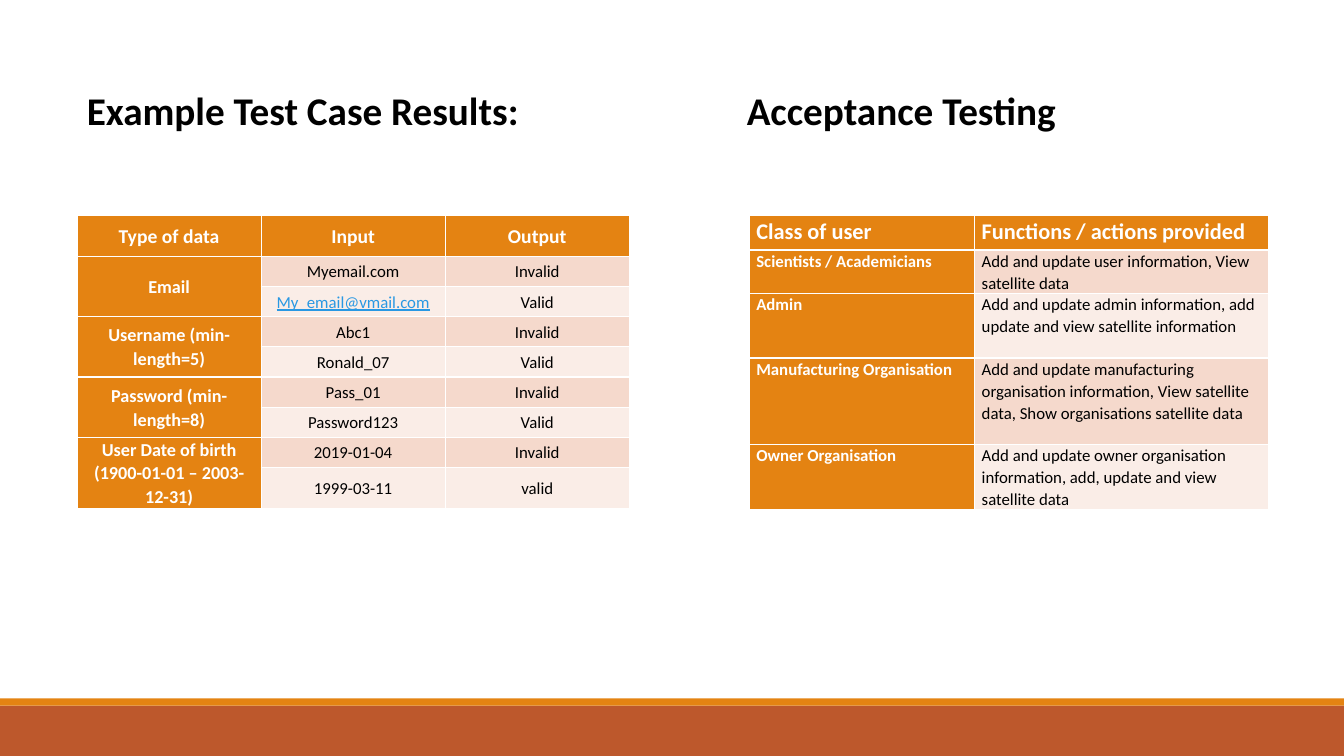
from pptx import Presentation
from pptx.dml.color import RGBColor
from pptx.enum.shapes import MSO_SHAPE as Shape
from pptx.enum.text import MSO_ANCHOR as Anchor, PP_ALIGN as Align
from pptx.util import Cm, Pt

WHITE = RGBColor(0xFF, 0xFF, 0xFF)
BLACK = RGBColor(0x00, 0x00, 0x00)
ORANGE = RGBColor(0xE4, 0x83, 0x12)
RUST = RGBColor(0xBD, 0x58, 0x2C)
LINK = RGBColor(0x29, 0x98, 0xE3)
BANDS = [RGBColor(0xFA, 0xED, 0xE7), RGBColor(0xF5, 0xD9, 0xCC)]

SLIDE_WIDTH, SLIDE_HEIGHT = 33.87, 19.05
TABLE_TOP = 5.44
EMAIL = "My_email@vmail.com"

TEST_CASES = [
    ["Type of data", "Input", "Output"],
    ["Email", "Myemail.com", "Invalid"],
    ["", EMAIL, "Valid"],
    ["Username (min-length=5)", "Abc1", "Invalid"],
    ["", "Ronald_07", "Valid"],
    ["Password (min-length=8)", "Pass_01", "Invalid"],
    ["", "Password123", "Valid"],
    ["User Date of birth (1900-01-01 – 2003-12-31)", "2019-01-04", "Invalid"],
    ["", "1999-03-11", "valid"],
]
USER_CLASSES = [
    ["Class of user", "Functions / actions provided"],
    ["Scientists / Academicians",
     "Add and update user information, View satellite data"],
    ["Admin",
     "Add and update admin information, add update and view satellite information"],
    ["Manufacturing Organisation",
     "Add and update manufacturing organisation information, View satellite data, "
     "Show organisations satellite data"],
    ["Owner Organisation",
     "Add and update owner organisation information, add, update and view satellite data"],
]


def write(frame, text, size=12, color=BLACK, bold=False, underline=False,
          align=Align.LEFT, spacing=1.0):
    paragraph = frame.paragraphs[0]
    paragraph.alignment = align
    paragraph.line_spacing = spacing
    run = paragraph.add_run()
    run.text = text
    font = run.font
    font.name = "Calibri"
    font.size = Pt(size)
    font.bold = bold
    font.underline = underline
    font.color.rgb = color


class SlideBuilder:
    def __init__(self, slide):
        self.slide = slide

    def bar(self, top, height, color):
        shape = self.slide.shapes.add_shape(
            Shape.RECTANGLE, 0, Cm(top), Cm(SLIDE_WIDTH), Cm(height))
        shape.shadow.inherit = False
        shape.fill.solid()
        shape.fill.fore_color.rgb = color
        shape.line.fill.background()

    def heading(self, text, left, width, height):
        box = self.slide.shapes.add_textbox(Cm(left), Cm(2.06), Cm(width), Cm(height))
        box.text_frame.word_wrap = True
        write(box.text_frame, text, size=28, bold=True)

    def table(self, rows, left, widths, heights, header_size, label_size,
              align=Align.LEFT, anchor=Anchor.TOP):
        table = self.slide.shapes.add_table(
            len(rows), len(widths), Cm(left), Cm(TABLE_TOP),
            Cm(sum(widths)), Cm(sum(heights))).table
        for column, width in zip(table.columns, widths):
            column.width = Cm(width)
        for row, height in zip(table.rows, heights):
            row.height = Cm(height)
        for i, row in enumerate(rows):
            for j, text in enumerate(row):
                cell = table.cell(i, j)
                label = i == 0 or j == 0
                cell.fill.solid()
                cell.fill.fore_color.rgb = ORANGE if label else BANDS[i % 2]
                cell.margin_left = cell.margin_right = Cm(0.18)
                cell.margin_top = cell.margin_bottom = 0
                cell.vertical_anchor = anchor
                if not text:
                    table.cell(i - 1, j).merge(cell)
                    continue
                size = header_size if i == 0 else label_size if label else 12
                link = text == EMAIL
                color = WHITE if label else LINK if link else BLACK
                write(cell.text_frame, text, size=size, color=color, bold=label,
                      underline=link, align=align, spacing=1.07)


def main():
    presentation = Presentation()
    presentation.slide_width = Cm(SLIDE_WIDTH)
    presentation.slide_height = Cm(SLIDE_HEIGHT)
    builder = SlideBuilder(presentation.slides.add_slide(presentation.slide_layouts[6]))

    builder.bar(17.78, 1.27, RUST)
    builder.bar(17.6, 0.18, ORANGE)
    builder.table(TEST_CASES, 1.94, [4.64] * 3, [1.02] + [0.76] * 7 + [0.99],
                  header_size=14, label_size=13, align=Align.CENTER, anchor=Anchor.MIDDLE)
    builder.heading("Example Test Case Results:", 1.94, 16.93, 2.13)
    builder.heading("Acceptance Testing", 18.57, 15.3, 1.45)
    builder.table(USER_CLASSES, 18.88, [5.68, 7.42], [0.86, 1.09, 1.63, 2.18, 1.63],
                  header_size=16, label_size=12)
    presentation.save("out.pptx")


if __name__ == "__main__":
    main()
